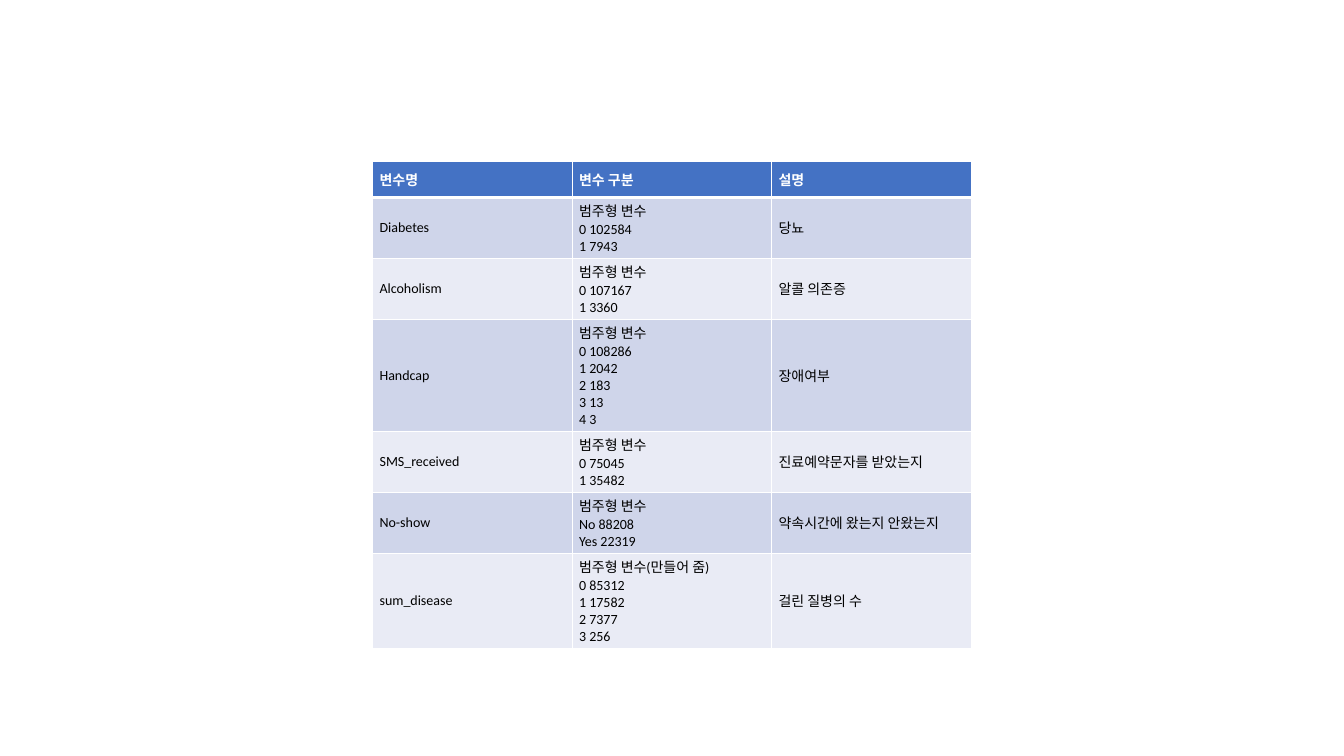
from lxml import etree
from pptx import Presentation
from pptx.dml.color import RGBColor
from pptx.enum.text import MSO_ANCHOR
from pptx.oxml.ns import qn
from pptx.util import Pt

MIDDLE = MSO_ANCHOR.MIDDLE
WHITE = RGBColor(0xFF, 0xFF, 0xFF)
BLACK = RGBColor(0x00, 0x00, 0x00)
HEADER_BLUE = RGBColor(0x44, 0x72, 0xC4)
BANDS = (RGBColor(0xCF, 0xD5, 0xEA), RGBColor(0xE9, 0xEB, 0xF5))

CATEGORICAL = "범주형 변수"
HEADER = ("변수명", "변수 구분", "설명")
VARIABLES = (
    ("Diabetes", (CATEGORICAL, "0 102584", "1 7943"), "당뇨"),
    ("Alcoholism", (CATEGORICAL, "0 107167", "1 3360"), "알콜 의존증"),
    ("Handcap",
     (CATEGORICAL, "0 108286", "1 2042", "2 183", "3 13", "4 3"), "장애여부"),
    ("SMS_received", (CATEGORICAL, "0 75045", "1 35482"),
     "진료예약문자를 받았는지"),
    ("No-show", (CATEGORICAL, "No 88208", "Yes 22319"),
     "약속시간에 왔는지 안왔는지"),
    ("sum_disease",
     (CATEGORICAL + "(만들어 줌)", "0 85312", "1 17582", "2 7377", "3 256"),
     "걸린 질병의 수"),
)
ROW_HEIGHTS = (25.6, 40.6, 40.6, 77.5, 40.6, 40.6, 65.2)

CELL_FORMAT = {
    "vertical_anchor": MIDDLE,
    "margin_left": Pt(4.9),
    "margin_right": Pt(4.9),
    "margin_top": Pt(2.45),
    "margin_bottom": Pt(2.45),
}
FONT_FORMAT = {"name": "Calibri", "size": Pt(10)}


def set_borders(cell, widths):
    """Draw white cell borders; widths maps each side to points."""
    properties = cell._tc.get_or_add_tcPr()
    for side, width in widths.items():
        line = etree.SubElement(properties, qn(f"a:ln{side}"), w=str(Pt(width)))
        fill = etree.SubElement(line, qn("a:solidFill"))
        etree.SubElement(fill, qn("a:srgbClr"), val=str(WHITE))


def fill_cell(cell, text, row):
    """Write and format one cell according to its row."""
    is_header = row == 0
    cell.text = text
    for name, value in CELL_FORMAT.items():
        setattr(cell, name, value)
    set_borders(cell, {"L": 1, "R": 1, "T": 3 if row == 1 else 1,
                       "B": 3 if is_header else 1})
    cell.fill.solid()
    cell.fill.fore_color.rgb = HEADER_BLUE if is_header else BANDS[(row - 1) % 2]
    for paragraph in cell.text_frame.paragraphs:
        font = paragraph.runs[0].font
        for name, value in {**FONT_FORMAT, "bold": is_header}.items():
            setattr(font, name, value)
        font.color.rgb = WHITE if is_header else BLACK


def add_variable_table(slide, left, top, width):
    """Add the table of variables at the given place and width."""
    shape = slide.shapes.add_table(
        len(VARIABLES) + 1, len(HEADER),
        Pt(left), Pt(top), Pt(width), Pt(sum(ROW_HEIGHTS)))
    table = shape.table
    for column in table.columns:
        column.width = Pt(width / len(HEADER))
    for row, height in enumerate(ROW_HEIGHTS):
        table.rows[row].height = Pt(height)
    records = [HEADER] + [(name, "\n".join(counts), meaning)
                          for name, counts, meaning in VARIABLES]
    for row, record in enumerate(records):
        for column, text in enumerate(record):
            fill_cell(table.cell(row, column), text, row)


def main():
    """Build and save the presentation."""
    presentation = Presentation()
    presentation.slide_width = Pt(960)
    presentation.slide_height = Pt(540)
    slide = presentation.slides.add_slide(presentation.slide_layouts[6])
    add_variable_table(slide, left=266.3, top=115.4, width=427.5)
    presentation.save("out.pptx")


if __name__ == "__main__":
    main()
